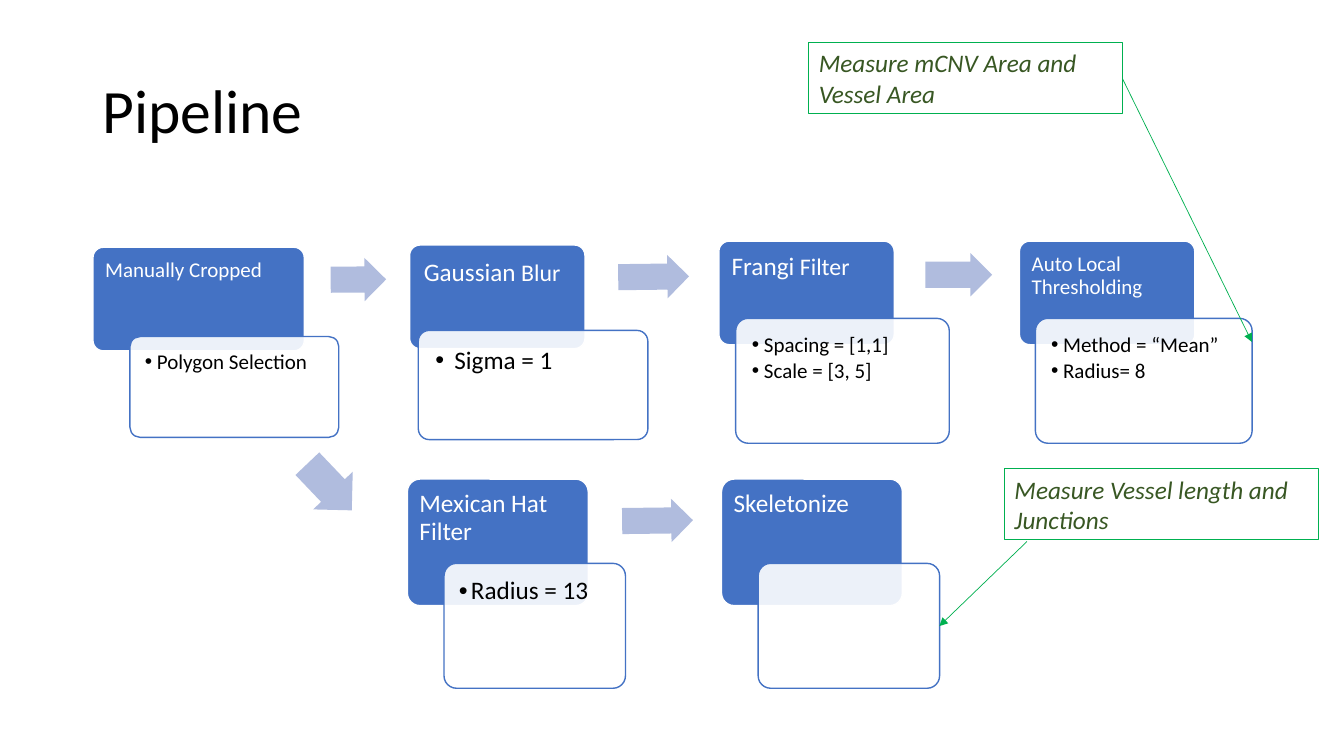
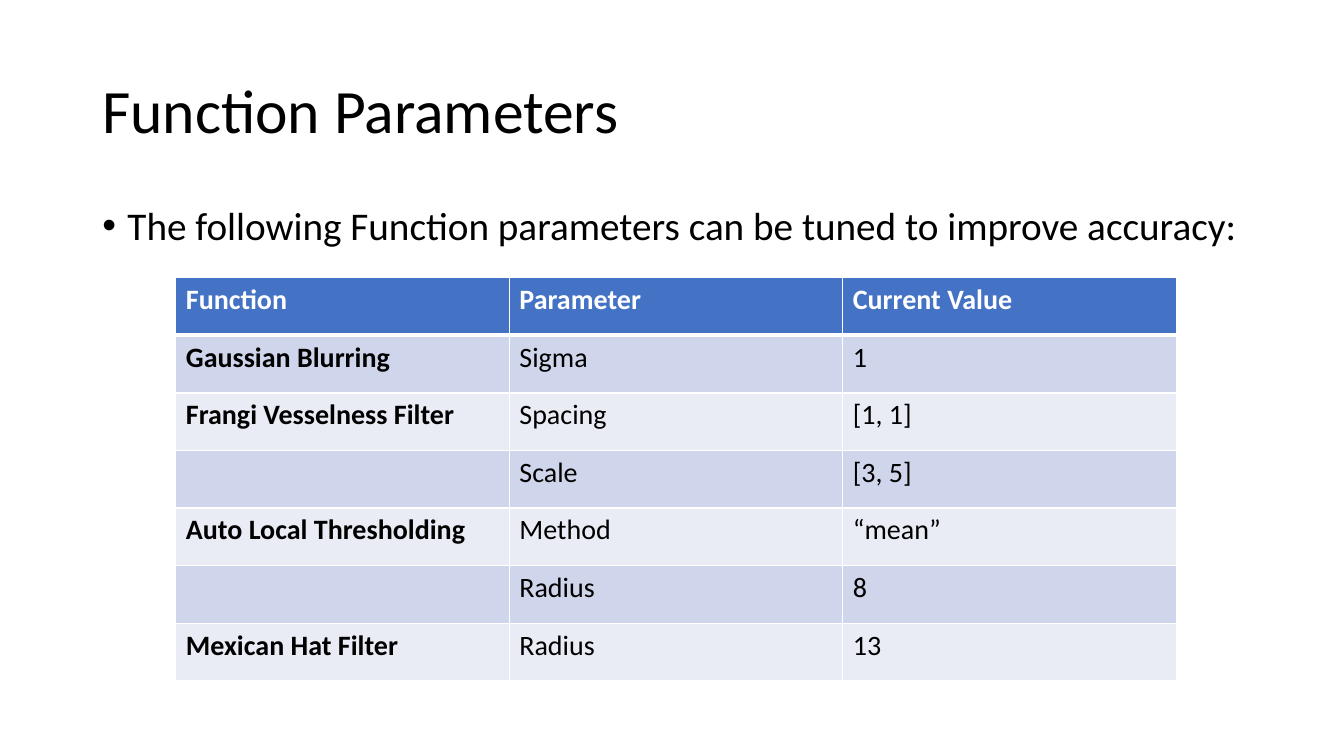
from collections import namedtuple
from dataclasses import dataclass

from lxml import etree
from pptx import Presentation
from pptx.dml.color import RGBColor
from pptx.enum.shapes import MSO_CONNECTOR, MSO_SHAPE
from pptx.enum.text import MSO_ANCHOR, PP_ALIGN
from pptx.oxml.ns import qn
from pptx.util import Pt

ROUNDED = MSO_SHAPE.ROUNDED_RECTANGLE
RECTANGLE = MSO_SHAPE.RECTANGLE
RIGHT_ARROW = MSO_SHAPE.RIGHT_ARROW
STRAIGHT = MSO_CONNECTOR.STRAIGHT
TOP, MIDDLE = MSO_ANCHOR.TOP, MSO_ANCHOR.MIDDLE
LEFT = PP_ALIGN.LEFT

Box = namedtuple("Box", "left top width height")


@dataclass(frozen=True)
class Theme:
    font: str = "Calibri"
    black: str = "000000"
    white: str = "FFFFFF"
    blue: str = "4472C4"
    arrow: str = "B0BCDE"
    green: str = "00B050"
    dark_green: str = "385723"
    bands: tuple = ("CFD5EA", "E9EBF5")
    title: float = 44
    body: float = 28
    table: float = 20
    large: float = 18
    medium: float = 17
    small: float = 15


THEME = Theme()
TITLE = Box(66, 28.8, 828, 104.4)


def color_of(value):
    return RGBColor.from_string(value)


def points(values):
    return [Pt(value) for value in values]


def add_bullet(para, indent):
    properties = para._p.get_or_add_pPr()
    properties.set("marL", str(Pt(indent)))
    properties.set("indent", str(-Pt(indent)))
    etree.SubElement(properties, qn("a:buFont"), typeface="Arial")
    etree.SubElement(properties, qn("a:buChar"), char="•")


def write_text(frame, lines, size, color, bold=False, italic=False, bullet=None,
               spacing=0.9, after=0, anchor=TOP, insets=(7.2, 3.6, 7.2, 3.6)):
    frame.word_wrap = True
    frame.vertical_anchor = anchor
    (frame.margin_left, frame.margin_top,
     frame.margin_right, frame.margin_bottom) = points(insets)
    for index, line in enumerate(lines):
        para = frame.add_paragraph() if index else frame.paragraphs[0]
        para.alignment = LEFT
        if bullet:
            add_bullet(para, bullet)
        para.line_spacing = spacing
        para.space_after = Pt(after)
        spans = [(line, size)] if isinstance(line, str) else line
        for text, span_size in spans:
            span = para.add_run()
            span.text = text
            font = span.font
            font.name, font.size = THEME.font, Pt(span_size)
            font.bold, font.italic = bold, italic
            font.color.rgb = color_of(color)


def add_text(page, box, lines, **text_format):
    write_text(page.shapes.add_textbox(*points(box)).text_frame, lines, **text_format)


def add_shape(page, kind, box, fill=None, line=None, weight=1, adjust=()):
    shape = page.shapes.add_shape(kind, *points(box))
    shape.shadow.inherit = False
    for index, value in enumerate(adjust):
        shape.adjustments[index] = value
    if fill:
        shape.fill.solid()
        shape.fill.fore_color.rgb = color_of(fill)
    else:
        shape.fill.background()
    if line:
        shape.line.color.rgb = color_of(line)
        shape.line.width = Pt(weight)
    else:
        shape.line.fill.background()
    return shape


def add_step(page, box, detail, heading, settings=(), heading_size=THEME.small,
             detail_size=THEME.small, inset=8.6, indent=8.6):
    head = add_shape(page, ROUNDED, box, THEME.blue, THEME.white, adjust=[0.1])
    edge = inset - 2
    write_text(head.text_frame, [heading], heading_size, THEME.white,
               insets=(edge, edge, edge, inset / 2))
    card_box = Box(box.left + detail.left, box.top + detail.top, detail.width, detail.height)
    card = add_shape(page, ROUNDED, card_box, THEME.white, THEME.blue, adjust=[0.1])
    fill_color = card.fill._xPr.find(qn("a:solidFill"))[0]
    etree.SubElement(fill_color, qn("a:alpha"), val="90000")
    write_text(card.text_frame, settings, detail_size, THEME.black, bullet=indent,
               after=0.15 * detail_size, insets=[inset] * 4)


def add_arrow(page, box, rotation=0):
    arrow = add_shape(page, RIGHT_ARROW, box, THEME.arrow, adjust=[0.6, 0.5])
    arrow.rotation = rotation


def add_callout(page, box, text, start, end):
    note = add_shape(page, RECTANGLE, box, line=THEME.green, weight=0.75)
    write_text(note.text_frame, [text], THEME.large, THEME.dark_green,
               italic=True, spacing=1, anchor=MIDDLE)
    pointer = page.shapes.add_connector(
        STRAIGHT, Pt(box.left + start[0]), Pt(box.top + start[1]), *points(end))
    pointer.line.color.rgb = color_of(THEME.green)
    pointer.line.width = Pt(0.5)
    etree.SubElement(pointer.line._get_or_add_ln(), qn("a:tailEnd"), type="triangle")
    etree.SubElement(pointer._element.spPr, qn("a:effectLst"))


def set_borders(cell, top, bottom):
    properties = cell._tc.get_or_add_tcPr()
    sides = (("a:lnL", 1), ("a:lnR", 1), ("a:lnT", top), ("a:lnB", bottom))
    for index, (side, weight) in enumerate(sides):
        border = etree.Element(qn(side), w=str(Pt(weight)))
        fill = etree.SubElement(border, qn("a:solidFill"))
        etree.SubElement(fill, qn("a:srgbClr"), val=THEME.white)
        properties.insert(index, border)


def add_parameter_table(page, box, rows):
    table = page.shapes.add_table(len(rows), len(rows[0]), *points(box)).table
    for column in table.columns:
        column.width = Pt(box.width / len(rows[0]))
    for row_index, row in enumerate(rows):
        table.rows[row_index].height = Pt(box.height / len(rows))
        is_header = row_index == 0
        fill = THEME.blue if is_header else THEME.bands[(row_index - 1) % 2]
        for column_index, text in enumerate(row):
            cell = table.cell(row_index, column_index)
            cell.fill.solid()
            cell.fill.fore_color.rgb = color_of(fill)
            set_borders(cell, 3 if row_index == 1 else 1, 3 if is_header else 1)
            if text:
                write_text(cell.text_frame, [text], THEME.table,
                           THEME.white if is_header else THEME.black,
                           bold=is_header or column_index == 0, spacing=1)


def add_page(deck, title):
    page = deck.slides.add_slide(deck.slide_layouts[6])
    add_text(page, TITLE, [title], size=THEME.title, color=THEME.black, anchor=MIDDLE)
    return page


def build_pipeline(deck):
    page = add_page(deck, "Pipeline")
    large, medium = THEME.large, THEME.medium
    add_step(page, Box(66.4, 176.6, 151, 74), Box(26.4, 63.8, 149.2, 72),
             "Manually Cropped", ["Polygon Selection"])
    add_step(page, Box(292.6, 175, 125.3, 74), Box(6.2, 61, 164, 78),
             [("Gaussian", large), (" Blur", medium)], ["Sigma = 1"],
             detail_size=large, inset=10, indent=13.5)
    add_step(page, Box(513.5, 172.2, 125.3, 74), Box(12, 55.2, 152.6, 89.2),
             [("Frangi", large), (" Filter", medium)],
             ["Spacing = [1,1]", "Scale = [3, 5]"], inset=9)
    add_step(page, Box(728.2, 172.2, 125.3, 74), Box(11.4, 55.2, 154.8, 89.2),
             "Auto Local Thresholding", ["Method = “Mean”", "Radius= 8"])
    lower_steps = (("Mexican Hat Filter", ["Radius = 13"]), ("Skeletonize", []))
    for index, (heading, settings) in enumerate(lower_steps):
        add_step(page, Box(291 + 224.4 * index, 342.2, 129.2, 90.4),
                 Box(26.2, 60.2, 129.6, 89.2), heading, settings,
                 heading_size=large, detail_size=large, inset=8)

    arrows = (
        (Box(236.2, 184.2, 39.6, 31), 359.6),
        (Box(441.6, 182.2, 50.6, 31), 359.3),
        (Box(661, 180.8, 47.6, 31), 0),
        (Box(212.4, 328.4, 46, 39), 46.4),
        (Box(444.4, 356.4, 50.6, 31), 359.3),
    )
    for box, rotation in arrows:
        add_arrow(page, box, rotation)

    add_callout(page, Box(577.8, 30.2, 224, 50.9), "Measure mCNV Area and Vessel Area",
                (224, 26), (894.2, 244.2))
    add_callout(page, Box(717.6, 334.8, 224, 50.9), "Measure Vessel length and Junctions",
                (16, 52), (671, 447.2))


def build_parameters(deck):
    page = add_page(deck, "Function Parameters")
    add_text(page, Box(66, 143.8, 828, 40),
             ["The following Function parameters can be tuned to improve accuracy:"],
             size=THEME.body, color=THEME.black, bullet=18)
    add_parameter_table(page, Box(125.6, 198.4, 714.6, 288), (
        ("Function", "Parameter", "Current Value"),
        ("Gaussian Blurring", "Sigma", "1"),
        ("Frangi Vesselness Filter", "Spacing", "[1, 1]"),
        ("", "Scale", "[3, 5]"),
        ("Auto Local Thresholding", "Method", "“mean”"),
        ("", "Radius", "8"),
        ("Mexican Hat Filter", "Radius", "13"),
    ))


def main():
    deck = Presentation()
    deck.slide_width, deck.slide_height = Pt(960), Pt(540)
    build_pipeline(deck)
    build_parameters(deck)
    deck.save("out.pptx")


if __name__ == "__main__":
    main()
